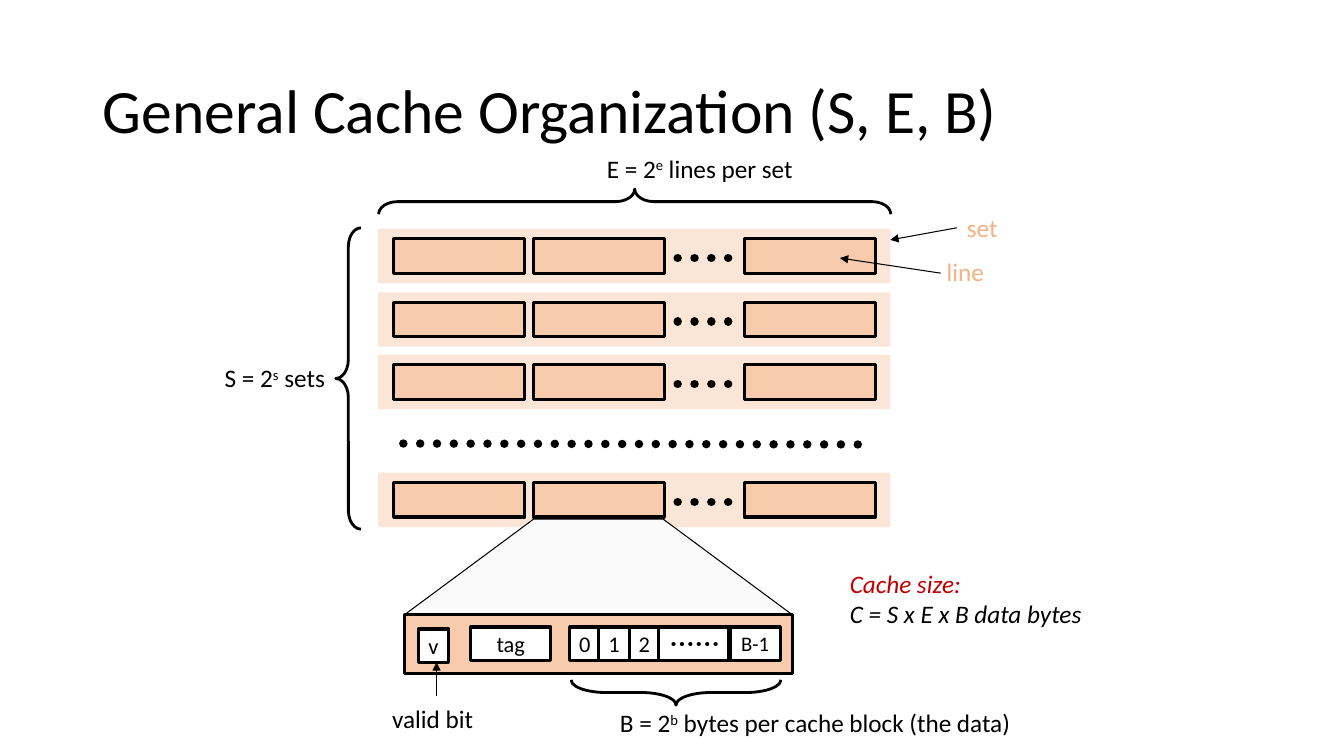
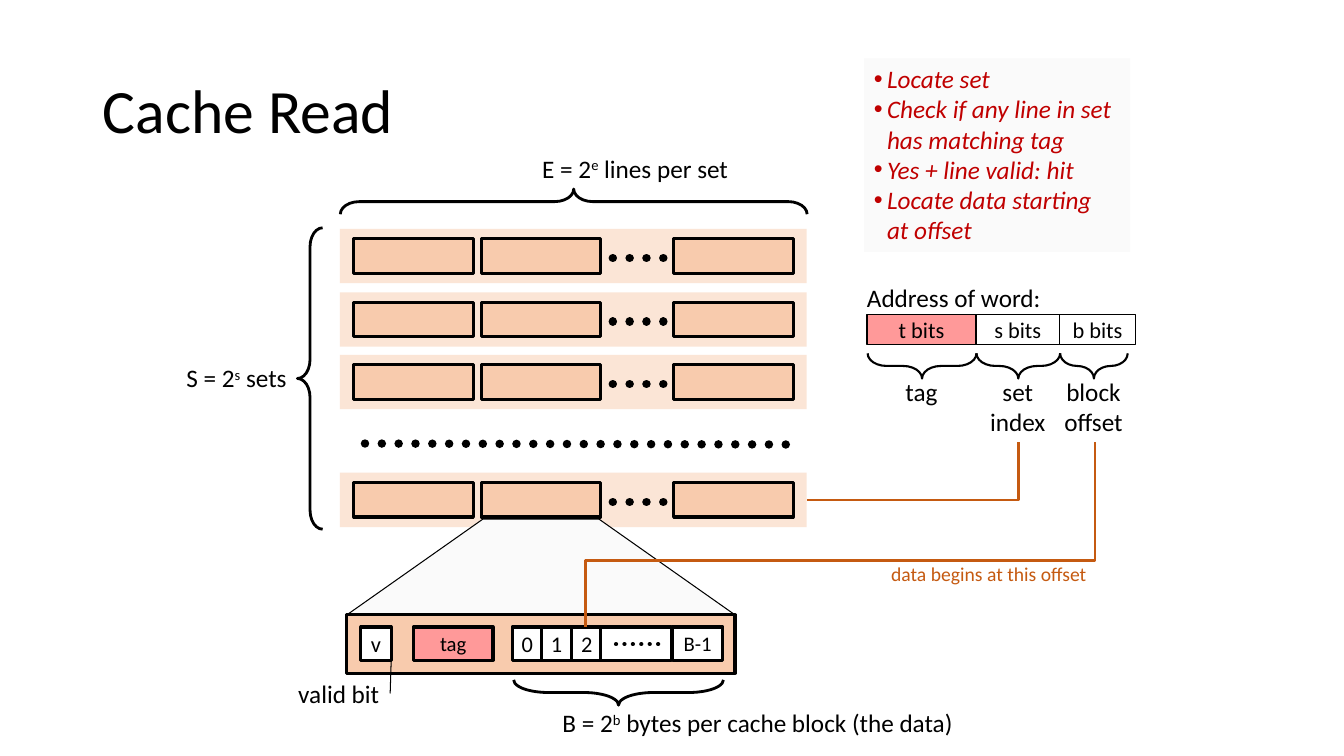
"""Build two slides on cache organization and cache reads."""
from itertools import cycle

from lxml import etree
from pptx import Presentation, util as u
from pptx.dml.color import RGBColor
from pptx.enum import dml, shapes as kinds, text
from pptx.oxml.ns import qn

COLOURS = {"ink": "000000", "white": "FFFFFF", "set": "FBE5D6", "line": "F8CBAD", "pale": "FAFAFA",
           "label": "F4B183", "red": "C00000", "tag": "FF9999", "offset": "C55A11"}
RGB = {name: RGBColor.from_string(value) for name, value in COLOURS.items()}
SHAPE, ALIGN, ANCHOR = kinds.MSO_SHAPE, text.PP_ALIGN, text.MSO_ANCHOR
FONT = "Calibri"
TITLE = {"left": u.Inches(0.92), "top": u.Inches(0.4), "width": u.Inches(11.5), "height": u.Inches(1.45)}


def block(shapes, at, words="", kind=None, fill=None, weight=0, size=18, ink="ink",
          italic=False, centred=False, bullet=False, turn=0, bend=None):
    """Add a shape, or a text box if no kind is given; ^ encloses a superscript."""
    place = [u.Inches(value) for value in at]
    part = shapes.add_shape(kind, *place) if kind else shapes.add_textbox(*place)
    if kind:
        part.shadow.inherit = False
        part.rotation = turn
    if bend:
        part.adjustments[0] = bend
    if fill:
        part.fill.solid()
        part.fill.fore_color.rgb = RGB[fill]
    else:
        part.fill.background()
    if weight:
        part.line.color.rgb = RGB["ink"]
        part.line.width = u.Pt(weight)
    else:
        part.line.fill.background()
    if not words:
        return
    frame = part.text_frame
    frame.word_wrap = False
    frame.vertical_anchor = ANCHOR.MIDDLE if kind else ANCHOR.TOP
    if not kind:
        frame.auto_size = text.MSO_AUTO_SIZE.SHAPE_TO_FIT_TEXT
    look = {"name": FONT, "size": u.Pt(size), "italic": italic}
    for number, (sentence, colour) in enumerate(zip(words.split("\n"), cycle(ink.split()))):
        paragraph = frame.add_paragraph() if number else frame.paragraphs[0]
        paragraph.alignment = ALIGN.CENTER if centred else ALIGN.LEFT
        if bullet:
            properties = paragraph._p.get_or_add_pPr()
            properties.set("marL", str(u.Inches(0.13)))
            properties.set("indent", str(-u.Inches(0.13)))
            etree.SubElement(properties, qn("a:buFont"), typeface="Arial")
            etree.SubElement(properties, qn("a:buChar"), char="•")
        for row, phrase in enumerate(sentence.split("\v")):
            if row:
                paragraph.add_line_break()
            for order, piece in enumerate(phrase.split("^")):
                run = paragraph.add_run()
                run.text = piece
                for key, value in look.items():
                    setattr(run.font, key, value)
                run.font.color.rgb = RGB[colour]
                if order % 2:
                    run._r.get_or_add_rPr().set("baseline", "30000")


def stroke(shapes, start, end, weight=0.75, ink="ink", dotted=False, arrow=False, elbow=None, bend=None):
    """Add a straight line, or an elbow that leaves its start downwards."""
    (x1, y1), (x2, y2) = start, end
    if elbow:
        mid_x, mid_y, half_w, half_h = (x1 + x2) / 2, (y1 + y2) / 2, (y2 - y1) / 2, (x1 - x2) / 2
        x1, y1, x2, y2 = mid_x - half_w, mid_y - half_h, mid_x + half_w, mid_y + half_h
    wire = shapes.add_connector(kinds.MSO_CONNECTOR.STRAIGHT, *[u.Inches(value) for value in (x1, y1, x2, y2)])
    wire.line.color.rgb = RGB[ink]
    wire.line.width = u.Pt(weight)
    properties = wire._element.spPr
    outline = properties.find(qn("a:ln"))
    if dotted:
        wire.line.dash_style = dml.MSO_LINE.ROUND_DOT
        outline.set("cap", "rnd")
    if arrow:
        etree.SubElement(outline, qn("a:tailEnd"), type="triangle")
    if elbow:
        properties.find(qn("a:xfrm")).set("rot", "5400000")
        geometry = properties.find(qn("a:prstGeom"))
        geometry.set("prst", elbow)
        if bend:
            etree.SubElement(geometry.find(qn("a:avLst")), qn("a:gd"), name="adj1", fmla=f"val {bend}")
    etree.SubElement(properties, qn("a:effectLst"))


deck = Presentation()
deck.slide_width, deck.slide_height = u.Inches(13.33), u.Inches(7.5)

SET_TOPS = (2.27, 2.9, 3.52, 4.69)
views = [
    {"title": "General Cache Organization (S, E, B)", "left": 3.75, "width": 5.08, "lines_label": 5.92,
     "dots": (4, 8.67), "block": 4.01, "tag": "white", "tag_size": 16, "valid_top": 6.24},
    {"title": "Cache Read", "left": 3.37, "width": 4.63, "lines_label": 5.28,
     "dots": (3.62, 7.85), "block": 3.44, "tag": "tag", "tag_size": 14.8, "valid_top": 6.22},
]
pages = []
for view in views:
    slide = deck.slides.add_slide(deck.slide_layouts[5])
    shapes = slide.shapes
    pages.append(shapes)
    title = shapes.title
    for key, value in TITLE.items():
        setattr(title, key, value)
    title.text_frame.text = view["title"]
    title.text_frame.vertical_anchor = ANCHOR.MIDDLE
    heading = title.text_frame.paragraphs[0]
    for key, value in {"alignment": ALIGN.LEFT, "line_spacing": 0.9}.items():
        setattr(heading, key, value)
    for key, value in {"name": FONT, "size": u.Pt(44)}.items():
        setattr(heading.runs[0].font, key, value)
    heading.runs[0].font.color.rgb = RGB["ink"]

    left, width, cache_block = view["left"], view["width"], view["block"]
    column = width / 33
    block(shapes, (left + width / 2 - 0.12, 2 - width / 2, 0.25, width), kind=SHAPE.LEFT_BRACE,
          weight=2, turn=90, bend=0.75)
    block(shapes, (left - 0.42, 2.26, 0.25, 2.99), kind=SHAPE.LEFT_BRACE, weight=2, bend=0.75)
    block(shapes, (view["lines_label"], 1.47, 2.14, 0.4), "E = 2^e^ lines per set")
    block(shapes, (left - 1.62, 3.55, 1.23, 0.4), "S = 2^s^ sets")
    for top in SET_TOPS:
        block(shapes, (left, top, width, 0.54), kind=SHAPE.RECTANGLE, fill="set")
        for start in (1, 10, 23.6):
            block(shapes, (left + start * column, top + 0.1, 8.45 * column, 0.34),
                  kind=SHAPE.RECTANGLE, fill="line", weight=2.25)
        stroke(shapes, (left + 19.3 * column, top + 0.29), (left + 23.6 * column, top + 0.29), 6, dotted=True)
    first_dot, last_dot = view["dots"]
    stroke(shapes, (first_dot, 4.4), (last_dot, 4.41), 6, dotted=True)

    block(shapes, (cache_block, 5.15, 3.85, 0.95), kind=SHAPE.TRAPEZOID, fill="pale", weight=0.75,
          bend=1.35 if view is views[0] else 1.42)
    block(shapes, (cache_block, 6.1, 3.85, 0.58), kind=SHAPE.RECTANGLE, fill="line", weight=2.25)
    cells = [("0", 1.64, 0.3, 16), ("1", 1.93, 0.3, 16), ("2", 2.23, 0.3, 16),
             ("B-1", 3.23, 0.5, 14.8), ("", 2.52, 0.7, 16)]
    for word, offset, cell_width, size in cells:
        block(shapes, (cache_block + offset, 6.22, cell_width, 0.33), word, SHAPE.RECTANGLE, "white", 2.25,
              size, centred=True)
    stroke(shapes, (cache_block + 2.67, 6.39), (cache_block + 3.17, 6.39), 3, dotted=True)
    block(shapes, (cache_block + 0.66, 6.22, 0.79, 0.33), "tag", SHAPE.RECTANGLE, view["tag"], 2.25,
          view["tag_size"], centred=True)
    block(shapes, (cache_block + 0.14, view["valid_top"], 0.3, 0.33), "v", SHAPE.RECTANGLE, "white", 2.25,
          16, centred=True)
    block(shapes, (cache_block + 2.57, 5.83, 0.25, 2.08), kind=SHAPE.LEFT_BRACE, weight=2, turn=270, bend=1.37)
    block(shapes, (cache_block + 2.04, 6.97, 4.29, 0.4), "B = 2^b^ bytes per cache block (the data)")

organization, reading = pages

stroke(organization, (9.49, 2.26), (8.83, 2.38), arrow=True)
block(organization, (9.49, 2.06, 0.51, 0.4), "set", ink="label")
stroke(organization, (9.33, 2.71), (8.33, 2.56), arrow=True)
block(organization, (9.29, 2.49, 0.59, 0.4), "line", ink="label")
block(organization, (8.33, 5.59, 2.53, 0.71), "Cache size:\nC = S x E x B data bytes", ink="red ink", italic=True)
block(organization, (3.79, 6.93, 1.04, 0.4), "valid bit")
stroke(organization, (4.33, 6.9), (4.33, 6.57), arrow=True)

block(reading, (2.86, 6.68, 1.04, 0.4), "valid bit")
stroke(reading, (3.87, 6.88), (3.88, 6.55))
block(reading, (8.5, 2.75, 1.98, 0.4), "Address of word:")
fields = [("t bits", "tag", 1.08, 1.08, "tag", 0.53, 0.4), ("s bits", "white", 0.83, 0.83, "set\nindex", 0.77, 0.71),
          ("b bits", "white", 0.75, 0.67, "block\noffset", 0.81, 0.71)]
field_left = 8.6
for bits, fill, field_width, span, meaning, label_width, label_height in fields:
    middle = field_left + span / 2
    block(reading, (field_left, 3.12, field_width, 0.3), bits, SHAPE.RECTANGLE, fill, 1, 16, centred=True)
    block(reading, (middle - 0.12, 3.63 - span / 2, 0.25, span), kind=SHAPE.LEFT_BRACE, weight=1.5,
          turn=270, bend=0.75)
    block(reading, (middle - label_width / 2, 3.68, label_width, label_height), meaning, centred=True)
    field_left += field_width
stroke(reading, (10.1, 4.39), (8, 4.96), 2, "offset", elbow="bentConnector2")
stroke(reading, (10.86, 4.39), (5.81, 6.22), 2, "offset", elbow="bentConnector3", bend=63800)
block(reading, (8.74, 5.53, 2.2, 0.34), "data begins at this offset", size=14, ink="offset")
block(reading, (8.57, 0.58, 2.64, 1.92),
      "Locate set\nCheck if any line in set\vhas matching tag\nYes + line valid: hit\nLocate data starting\vat offset",
      fill="pale", ink="red", italic=True, bullet=True)

deck.save("out.pptx")
